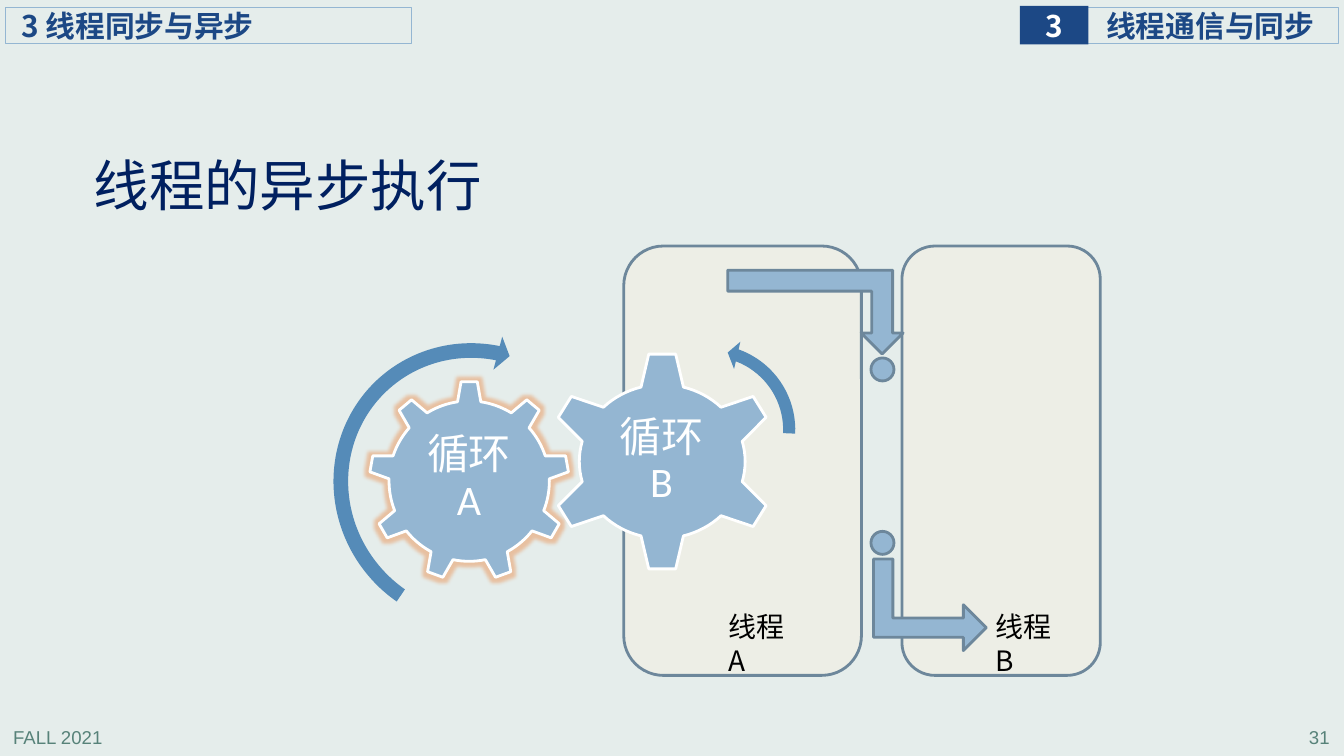
from lxml.etree import SubElement as Sub
from pptx import Presentation
from pptx.dml.color import RGBColor as RGB
from pptx.enum.shapes import MSO_SHAPE as Geo
from pptx.enum.text import MSO_ANCHOR as Anchor, PP_ALIGN as Align
from pptx.oxml.ns import qn
from pptx.util import Cm, Pt

# Content: lengths in cm, sizes in points
INK = {"back": "E5EDEB", "panel": "EDEEE6", "edge": "6D879B", "sky": "94B6D2",
       "arc": "558BB8", "navy": "1C4885", "title": "002060", "white": "FFFFFF",
       "black": "000000", "foot": "578279", "glow": "ED7D31"}
CJK = "Noto Sans CJK SC"
TITLE = ("线程的异步执行", (2.16, 3.76, 10.72, 1.96))

# Box, text, inset, fill, line, text colour, alignment
HEADS = [
    ((27.38, 0.18, 6.35, 0.91), "线程通信与同步", 0.5, None, "sky", "navy", Align.LEFT),
    ((25.7, 0.15, 1.73, 0.97), "3", 0, "navy", None, "white", Align.CENTER),
    ((0.13, 0.18, 10.24, 0.91), "3 线程同步与异步", 0.41, None, "sky", "navy", Align.LEFT),
]
PANELS = [(22.73, 6.2, 5, 10.82), (15.72, 6.2, 5.99, 10.82)]
GEARS = [
    (Geo.GEAR_9, (9.3, 9.6, 5.05, 5.05), "循环A", (10.31, 10.77, 3.02, 2.59)),
    (Geo.GEAR_6, (13.77, 8.86, 5.84, 5.54), "循环B", (15.19, 10.26, 2.97, 2.74)),
]
# Shape, box, turn, adjustments
ARCS = [
    (Geo.CIRCULAR_ARROW, (8.1, 8.46, 7.75, 7.54), 228.6,
     (0.049, 3.126, 30.669, 153.278, 0.057)),
    (Geo.LEFT_CIRCULAR_ARROW, (15.54, 8.48, 4.7, 4.7), 115.3,
     (0.065, 4.3, 104.891, 148.378, 0.075)),
]
# Box, turn, first adjustment, upside down
BENDS = [((22.28, 13.82, 2.31, 2.84), 90, 0.21, False),
         ((18.34, 6.81, 4.42, 2.11), 0, 0.25, True)]
DOTS = [9.02, 13.39]
LABELS = [("线程B", 24.84), ("线程A", 18.11)]
FEET = [("FALL 2021", 0.08, Align.LEFT), ("31", 26.7, Align.RIGHT)]


def rgb(name):
    return RGB.from_string(INK[name])


def draw(geo, box, fill=None, line=None, width=2):
    item = slide.shapes.add_shape(geo, *map(Cm, box))
    item.shadow.inherit = False
    if fill:
        item.fill.solid()
        item.fill.fore_color.rgb = rgb(fill)
    else:
        item.fill.background()
    if line:
        item.line.color.rgb = rgb(line)
        item.line.width = Pt(width)
    else:
        item.line.fill.background()
    return item


def write(item, text, size, color, align=Align.LEFT, face=CJK, bold=False,
          pad=(0.25, 0.13), anchor=Anchor.MIDDLE, space=None):
    frame = item.text_frame
    frame.word_wrap = True
    frame.vertical_anchor = anchor
    frame.margin_left = frame.margin_right = Cm(pad[0])
    frame.margin_top = frame.margin_bottom = Cm(pad[1])
    frame.text = text
    para = frame.paragraphs[0]
    para.alignment = align
    para.line_spacing = space
    font = para.font
    font.name, font.size, font.bold = face, Pt(size), bold
    font.color.rgb = rgb(color)
    # East Asian letters need their own face
    Sub(para._p.pPr.find(qn("a:defRPr")), qn("a:ea"), typeface=CJK)


def label(box, *args, **kw):
    write(slide.shapes.add_textbox(*map(Cm, box)), *args, **kw)


deck = Presentation()
deck.slide_width, deck.slide_height = Cm(33.87), Cm(19.05)
slide = deck.slides.add_slide(deck.slide_layouts[5])
slide.background.fill.solid()
slide.background.fill.fore_color.rgb = rgb("back")

# Title
title = slide.shapes.title
text, box = TITLE
title.left, title.top, title.width, title.height = map(Cm, box)
write(title, text, 39.6, "title", pad=(0.2, 0.1), space=0.9)

# Header bars and footer
for box, text, inset, fill, line, color, align in HEADS:
    bar = draw(Geo.RECTANGLE, box, fill, line, 0.75)
    write(bar, text, 21.3, color, align, bold=True, pad=(inset, 0))
    bar.text_frame.margin_right = 0
for text, x, align in FEET:
    label((x, 18.19, 7.06, 0.79), text, 13.3, "foot", align, "Arial")

# Thread panels
for box in PANELS:
    draw(Geo.ROUNDED_RECTANGLE, box, "panel", "edge")

# Gears, the first one glowing
gears = [draw(geo, box, "sky", "white") for geo, box, *_ in GEARS]
fx = gears[0]._element.spPr.find(qn("a:effectLst"))
glow = Sub(fx, qn("a:glow"), rad=str(Pt(5)))
tint = Sub(glow, qn("a:srgbClr"), val=INK["glow"])
Sub(tint, qn("a:alpha"), val="40000")
for _, _, text, box in GEARS:
    label(box, text, 30, "white", Align.CENTER, "Calibri", pad=(0.3, 0.1), space=0.9)

# Turning arrows
for geo, box, turn, adjust in ARCS:
    arc = draw(geo, box, "arc")
    arc.rotation = turn
    for i, value in enumerate(adjust):
        arc.adjustments[i] = value

# Bent arrows and dots between the threads
for box, turn, adjust, flip in BENDS:
    bend = draw(Geo.BENT_UP_ARROW, box, "sky", "edge")
    bend.rotation = turn
    bend.adjustments[0] = adjust
    if flip:
        bend._element.spPr.find(qn("a:xfrm")).set("flipV", "1")
for y in DOTS:
    draw(Geo.OVAL, (21.95, y, 0.58, 0.58), "sky", "edge")

# Thread names
for text, x in LABELS:
    label((x, 15.24, 2.2, 1.12), text, 20, "black", anchor=Anchor.TOP)

deck.save("out.pptx")
